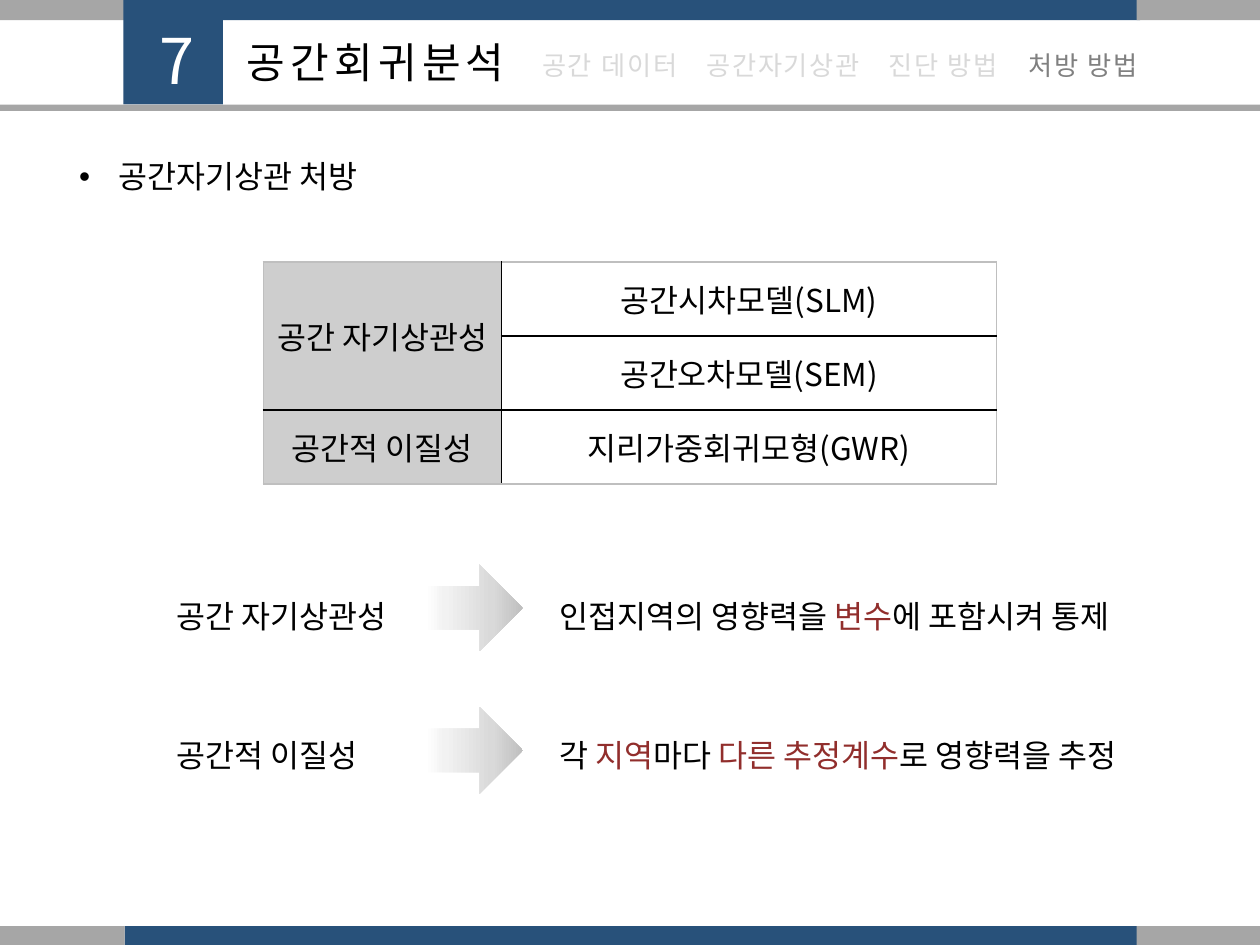
from dataclasses import dataclass

from lxml import etree
from pptx import Presentation
from pptx.dml.color import RGBColor
from pptx.enum.shapes import MSO_SHAPE
from pptx.enum.text import MSO_ANCHOR, MSO_AUTO_SIZE, PP_ALIGN
from pptx.oxml.ns import qn
from pptx.util import Emu, Inches, Pt

RECT, ARROW = MSO_SHAPE.RECTANGLE, MSO_SHAPE.RIGHT_ARROW
LEFT, CENTER = PP_ALIGN.LEFT, PP_ALIGN.CENTER
MIDDLE = MSO_ANCHOR.MIDDLE
GROW = MSO_AUTO_SIZE.SHAPE_TO_FIT_TEXT


@dataclass(frozen=True)
class Theme:
    font: str = "Noto Sans CJK KR"
    blue: str = "28517A"
    gray: str = "A6A6A6"
    ink: str = "000000"
    white: str = "FFFFFF"
    red: str = "912E2C"
    dim: str = "D9D9D9"
    active: str = "808080"
    head: str = "CECECE"
    frame: str = "BFBFBF"
    fade: tuple = ((11, "FFFFFF"), (29, "F2F2F2"), (72, "D9D9D9"), (100, "BFBFBF"))
    number: int = 36
    title: int = 24
    tab: int = 15
    body: int = 18


THEME = Theme()


def add_node(parent, tag, **attrs):
    node = etree.SubElement(parent, qn(tag))
    for key, value in attrs.items():
        node.set(key, str(value))
    return node


def style_run(run, size, color, gap=0):
    """Format a run; gap is the letter spacing in points."""
    font = run.font
    font.size = Pt(size)
    font.color.rgb = RGBColor.from_string(color)
    font.name = THEME.font
    props = run._r.get_or_add_rPr()
    add_node(props, "a:ea", typeface=THEME.font)
    if gap:
        props.set("spc", str(gap * 100))


def add_shape(slide, kind, box):
    shape = slide.shapes.add_shape(kind, *map(Inches, box))
    shape.shadow.inherit = False
    shape.line.fill.background()
    return shape


def add_bar(slide, box, color):
    fill = add_shape(slide, RECT, box).fill
    fill.solid()
    fill.fore_color.rgb = RGBColor.from_string(color)


def add_arrow(slide, box):
    fill = add_shape(slide, ARROW, box).fill
    fill.gradient()
    fill.gradient_angle = 0
    stops = fill._fill._gradFill.find(qn("a:gsLst"))
    for stop in list(stops):
        stops.remove(stop)
    for pos, color in THEME.fade:
        stop = add_node(stops, "a:gs", pos=pos * 1000)
        add_node(stop, "a:srgbClr", val=color)


def add_text(slide, box, parts, size=THEME.body, align=LEFT, gap=0,
             spacing=None, bullet=False):
    """Add a text box; parts is a list of (text, color) runs."""
    frame = slide.shapes.add_textbox(*map(Inches, box)).text_frame
    frame.word_wrap = True
    frame.auto_size = GROW
    para = frame.paragraphs[0]
    para.alignment = align
    if spacing:
        para.line_spacing = spacing
    if bullet:
        props = para._p.get_or_add_pPr()
        props.set("marL", str(Inches(0.31)))
        props.set("indent", str(-Inches(0.31)))
        add_node(props, "a:buFont", typeface="Arial")
        add_node(props, "a:buChar", char="•")
    for text, color in parts:
        run = para.add_run()
        run.text = text
        style_run(run, size, color, gap)


def add_border(cell, side, color):
    line = add_node(cell._tc.get_or_add_tcPr(), f"a:ln{side}", w=Pt(1))
    add_node(add_node(line, "a:solidFill"), "a:srgbClr", val=color)


def add_models(slide):
    rows = (("공간 자기상관성", "공간시차모델(SLM)"),
            ("", "공간오차모델(SEM)"),
            ("공간적 이질성", "지리가중회귀모형(GWR)"))
    count = len(rows)
    box = map(Inches, (2.09, 2.08, 5.82, 1.76))
    table = slide.shapes.add_table(count, 2, *box).table
    table.first_row = table.horz_banding = False
    for col, width in zip(table.columns, (1.89, 3.93)):
        col.width = Inches(width)
    for r, row in enumerate(rows):
        table.rows[r].height = Emu(Inches(1.76) // count)
        for c, text in enumerate(row):
            cell = table.cell(r, c)
            outer = {"L": c == 0, "R": c == 1, "T": r == 0, "B": r == count - 1}
            for side, edge in outer.items():
                add_border(cell, side, THEME.frame if edge else THEME.ink)
            if c == 0:
                cell.fill.solid()
                cell.fill.fore_color.rgb = RGBColor.from_string(THEME.head)
            else:
                cell.fill.background()
            cell.vertical_anchor = MIDDLE
            if text:
                para = cell.text_frame.paragraphs[0]
                para.text = text
                para.alignment = CENTER
                style_run(para.runs[0], THEME.body, THEME.ink)
    table.cell(0, 0).merge(table.cell(1, 0))


def add_bands(slide):
    for top in (0, 7.35):
        add_bar(slide, (0.99, top, 8.06, 0.16), THEME.blue)
        add_bar(slide, (0, top, 0.99, 0.16), THEME.gray)
        add_bar(slide, (9.02, top, 0.98, 0.16), THEME.gray)


def add_header(slide):
    add_bar(slide, (0.98, 0, 0.79, 0.83), THEME.blue)
    add_bar(slide, (-0.05, 0.83, 10.24, 0.05), THEME.gray)
    add_text(slide, (0.97, 0.12, 0.87, 0.71), [("7", THEME.white)],
             THEME.number, CENTER, gap=3)
    add_text(slide, (1.86, 0.24, 3.7, 0.5), [("공간회귀분석", THEME.ink)],
             THEME.title, gap=3)
    tabs = (("공간 데이터", 3.82, 2.04, THEME.dim),
            ("공간자기상관", 5.47, 1.49, THEME.dim),
            ("진단 방법", 6.74, 1.49, THEME.dim),
            ("처방 방법", 7.85, 1.49, THEME.active))
    for text, left, width, color in tabs:
        add_text(slide, (left, 0.34, width, 0.35), [(text, color)],
                 THEME.tab, CENTER, gap=1)


def add_remedy(slide, top, tip, name, parts):
    """Add one row: a problem, an arrow at height tip, and its remedy."""
    add_text(slide, (1.3, top, 1.96, 0.51), [(name, THEME.ink)], spacing=1.5)
    add_arrow(slide, (3.28, tip, 0.87, 0.69))
    add_text(slide, (4.34, top, 5.19, 0.51), parts, spacing=1.5)


def main():
    deck = Presentation()
    deck.slide_width, deck.slide_height = Inches(10), Inches(7.5)
    slide = deck.slides.add_slide(deck.slide_layouts[6])
    ink, red = THEME.ink, THEME.red
    add_bands(slide)
    add_header(slide)
    add_text(slide, (0.53, 1.2, 8.19, 0.4), [("공간자기상관 처방", ink)], bullet=True)
    add_models(slide)
    add_remedy(slide, 4.54, 4.48, "공간 자기상관성",
               [("인접지역의 영향력을 ", ink), ("변수", red), ("에 포함시켜 통제", ink)])
    add_remedy(slide, 5.64, 5.61, "공간적 이질성",
               [("각 ", ink), ("지역", red), ("마다 ", ink),
                ("다른 추정계수", red), ("로 영향력을 추정", ink)])
    deck.save("out.pptx")


if __name__ == "__main__":
    main()
